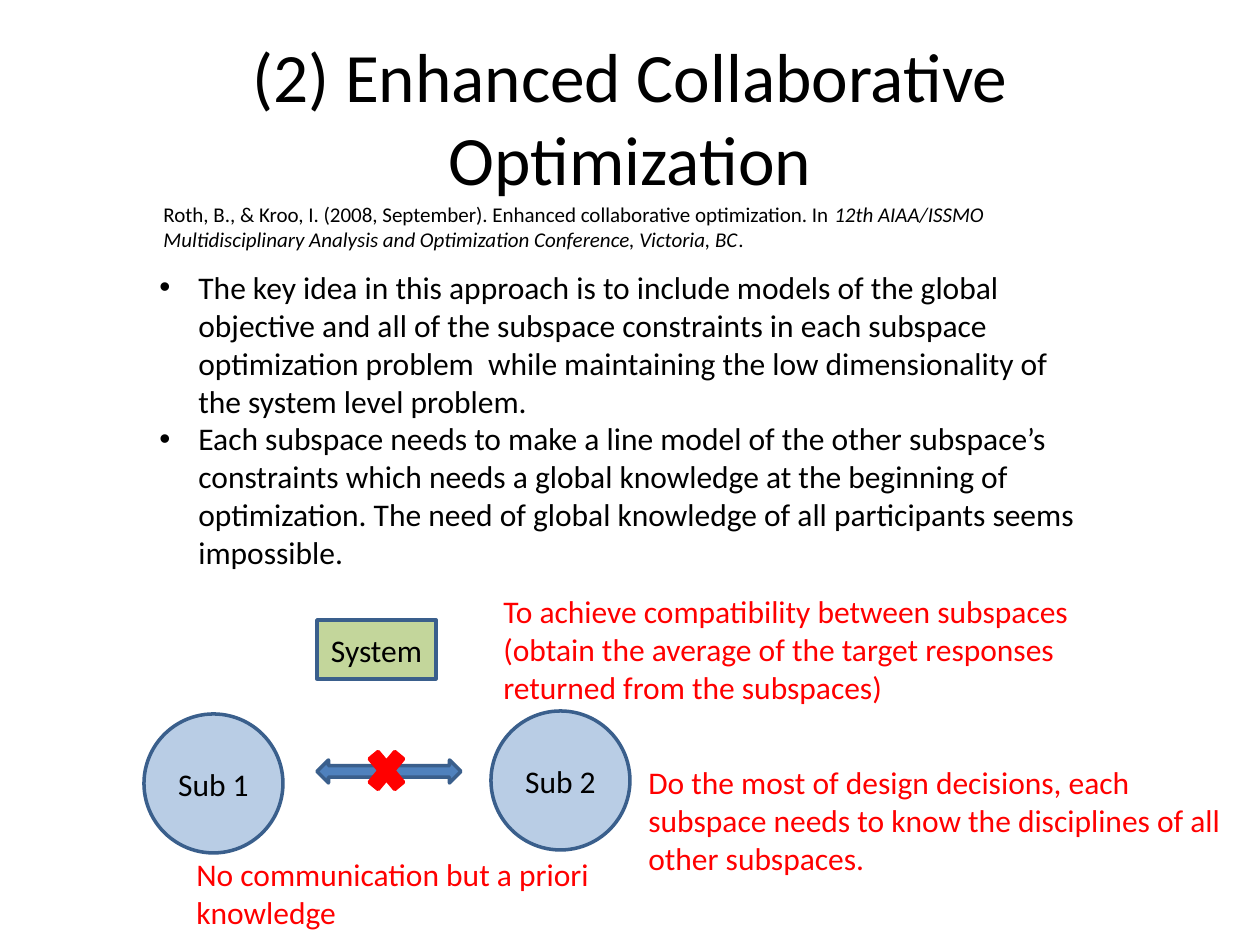
from lxml.etree import SubElement
from pptx import Presentation
from pptx.dml.color import RGBColor as Rgb
from pptx.enum.shapes import MSO_SHAPE as Kind
from pptx.enum.text import MSO_ANCHOR as Anchor, MSO_AUTO_SIZE as Fit, PP_ALIGN as Align
from pptx.oxml.ns import qn
from pptx.util import Pt

SCALE = 914400 / 126
FONT = "Calibri"
HUES = {"ink": "000000", "red": "FF0000", "green": "C3D69B",
        "pale": "B9CDE5", "blue": "4F81BD", "edge": "3A5F8C"}

TITLE = ("(2) Enhanced Collaborative Optimization", (63, 38, 1134, 157))
CITE = [("Roth, B., & Kroo, I. (2008, September). Enhanced collaborative optimization. In ", False),
        ("12th AIAA/ISSMO Multidisciplinary Analysis and Optimization Conference, Victoria, BC", True),
        (".", False)]
CITE_BOX = (151, 195, 861, 63)
IDEAS = [
    "The key idea in this approach is to include models of the global objective and all of the "
    "subspace constraints in each subspace optimization problem  while maintaining the low "
    "dimensionality of the system level problem.",
    "Each subspace needs to make a line model of the other subspace’s constraints which needs a "
    "global knowledge at the beginning of optimization. The need of global knowledge of all "
    "participants seems impossible.",
]
IDEA_BOX = (147, 262, 963, 318)
INDENT = 39
PARTS = [
    ("System", Kind.RECTANGLE, (317, 620, 119, 59), "green", "edge"),
    ("Sub 1", Kind.OVAL, (144, 714, 139, 139), "pale", "edge"),
    ("Sub 2", Kind.OVAL, (491, 711, 139, 139), "pale", "edge"),
    ("", Kind.LEFT_RIGHT_ARROW, (317, 760, 144, 23), "blue", "edge"),
    ("", Kind.MATH_MULTIPLY, (362, 741, 49, 59), "red", "red"),
]
NOTES = [
    ("To achieve compatibility between subspaces (obtain the average of the target responses "
     "returned from the subspaces)", (491, 586, 616, 127)),
    ("Do the most of design decisions, each subspace needs to know the disciplines of all "
     "other subspaces.", (636, 757, 616, 127)),
    ("No communication but a priori knowledge", (184, 849, 486, 89)),
]


def px(num):
    return round(num * SCALE)


def hue(name):
    return Rgb.from_string(HUES[name])


def place(item, box):
    item.left, item.top, item.width, item.height = map(px, box)


def write(para, text, size=18, tone="ink", slant=False):
    run = para.add_run()
    run.text = text
    font = run.font
    font.name, font.size, font.italic = FONT, Pt(size), slant
    font.color.rgb = hue(tone)


def add_box(slide, box):
    frame = slide.shapes.add_textbox(*map(px, box)).text_frame
    frame.word_wrap = True
    return frame


def add_dot(para):
    props = para._p.get_or_add_pPr()
    props.set("marL", str(px(INDENT)))
    props.set("indent", str(-px(INDENT)))
    SubElement(props, qn("a:buFont")).set("typeface", "Arial")
    SubElement(props, qn("a:buChar")).set("char", "•")


def add_part(slide, text, kind, box, fill, edge):
    part = slide.shapes.add_shape(kind, *map(px, box))
    part.shadow.inherit = False
    part.fill.solid()
    part.fill.fore_color.rgb = hue(fill)
    part.line.color.rgb = hue(edge)
    part.line.width = Pt(2)
    if text:
        part.text_frame.vertical_anchor = Anchor.MIDDLE
        para = part.text_frame.paragraphs[0]
        para.alignment = Align.CENTER
        write(para, text)


def main():
    deck = Presentation()
    deck.slide_width, deck.slide_height = px(1260), px(945)
    slide = deck.slides.add_slide(deck.slide_layouts[5])

    text, box = TITLE
    title = slide.shapes.title
    place(title, box)
    frame = title.text_frame
    frame.auto_size, frame.vertical_anchor = Fit.NONE, Anchor.MIDDLE
    frame.paragraphs[0].alignment = Align.CENTER
    write(frame.paragraphs[0], text, 39.6)

    cite = add_box(slide, CITE_BOX).paragraphs[0]
    for text, slant in CITE:
        write(cite, text, 12, slant=slant)

    frame = add_box(slide, IDEA_BOX)
    for num, text in enumerate(IDEAS):
        para = frame.add_paragraph() if num else frame.paragraphs[0]
        add_dot(para)
        write(para, text)

    for part in PARTS:
        add_part(slide, *part)
    for text, box in NOTES:
        write(add_box(slide, box).paragraphs[0], text, tone="red")
    deck.save("out.pptx")


if __name__ == "__main__":
    main()
